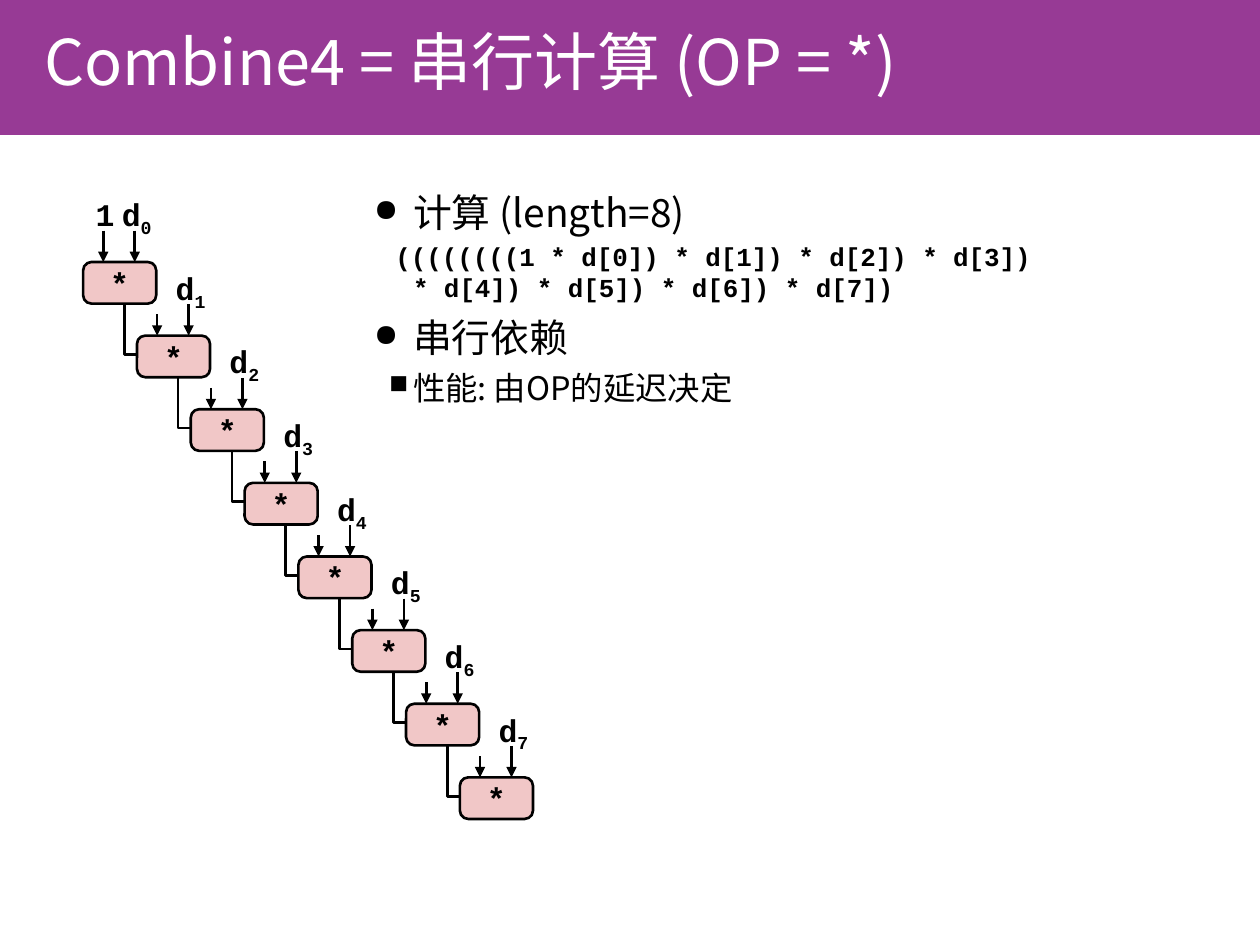
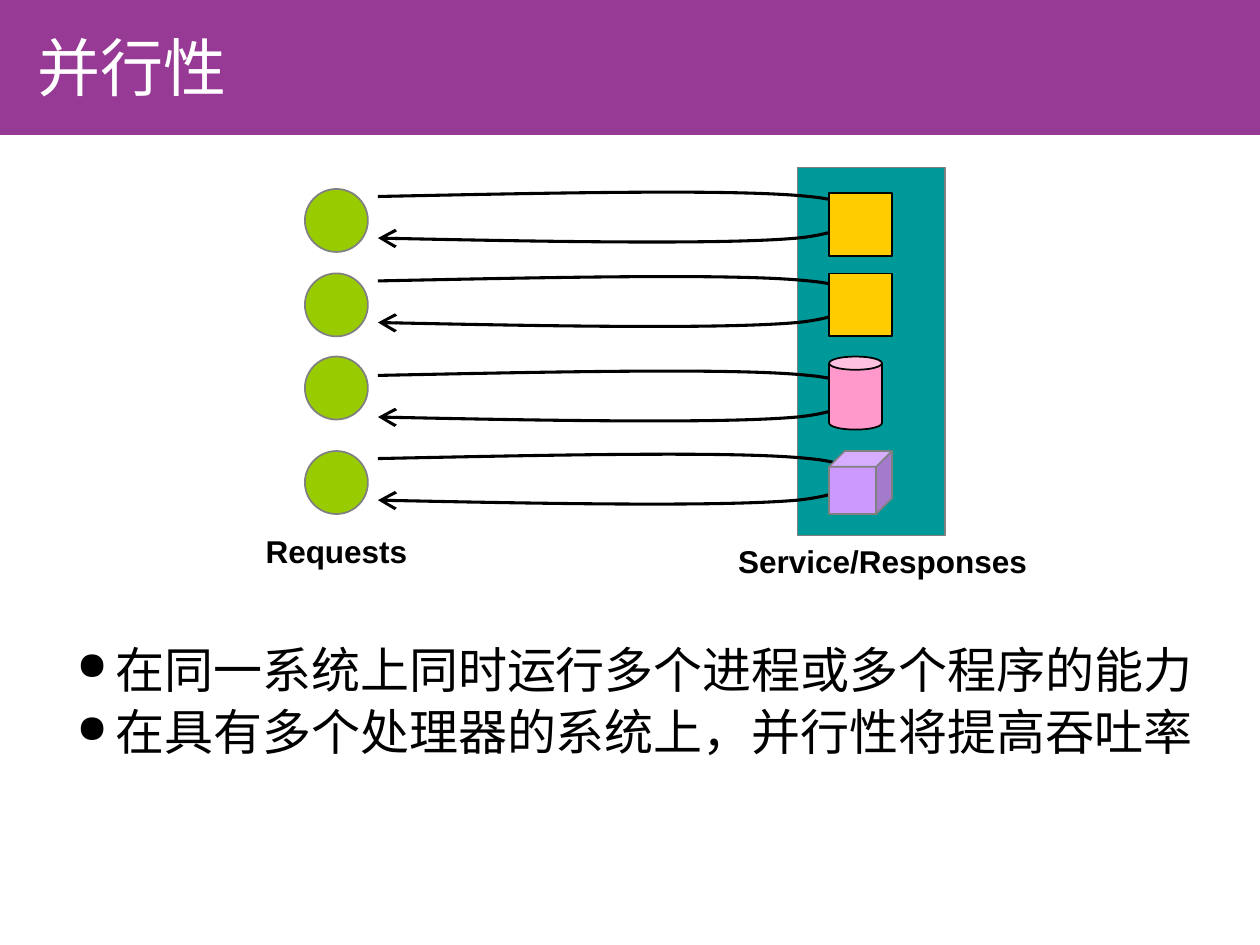
from lxml import etree
from pptx import Presentation
from pptx.dml.color import RGBColor
from pptx.enum.shapes import MSO_CONNECTOR, MSO_SHAPE
from pptx.enum.text import MSO_ANCHOR, PP_ALIGN
from pptx.oxml.ns import qn
from pptx.util import Inches, Pt

PURPLE = RGBColor(0x97, 0x3A, 0x95)
WHITE = RGBColor(0xFF, 0xFF, 0xFF)
BLACK = RGBColor(0, 0, 0)
GRAY = RGBColor(0x80, 0x80, 0x80)
ROSE = RGBColor(0xF1, 0xC7, 0xC7)
GREEN = RGBColor(0x99, 0xCC, 0x00)
TEAL = RGBColor(0x00, 0x99, 0x99)
GOLD = RGBColor(0xFF, 0xCC, 0x00)
PINK = RGBColor(0xFF, 0x99, 0xCC)
VIOLET = RGBColor(0xCC, 0x99, 0xFF)

CJK, CODE, SANS = "Noto Sans CJK SC", "Courier New", "Arial"

RECTANGLE, ROUNDED = MSO_SHAPE.RECTANGLE, MSO_SHAPE.ROUNDED_RECTANGLE
OVAL, CAN, CUBE = MSO_SHAPE.OVAL, MSO_SHAPE.CAN, MSO_SHAPE.CUBE
STRAIGHT = MSO_CONNECTOR.STRAIGHT
TOP, MIDDLE = MSO_ANCHOR.TOP, MSO_ANCHOR.MIDDLE
LEFT, CENTER = PP_ALIGN.LEFT, PP_ALIGN.CENTER


class Deck:
    def __init__(self):
        self.presentation = Presentation()
        self.presentation.slide_width = Inches(10)
        self.presentation.slide_height = Inches(7.5)
        self.slide = None

    def add_slide(self, title, left, top, width, height):
        layout = self.presentation.slide_layouts[5]
        self.slide = self.presentation.slides.add_slide(layout)
        placeholder = self.slide.shapes.title
        placeholder.left, placeholder.top = Inches(left), Inches(top)
        placeholder.width, placeholder.height = Inches(width), Inches(height)
        self.format_frame(placeholder.text_frame, MIDDLE)
        paragraph = placeholder.text_frame.paragraphs[0]
        paragraph.alignment = LEFT
        self.run(paragraph, title, 36, CJK, WHITE)
        band = self.shape(RECTANGLE, 0, -0.01, 10, 1.08, PURPLE)
        placeholder.element.addprevious(band.element)

    def format_frame(self, frame, anchor, side=0.1, wrap=True):
        frame.word_wrap = wrap
        frame.vertical_anchor = anchor
        frame.margin_left = frame.margin_right = Inches(side)
        frame.margin_top = frame.margin_bottom = Inches(0.05)

    def run(self, paragraph, text, size, font, color=BLACK, bold=False, subscript=False):
        run = paragraph.add_run()
        run.text = text
        run.font.size = Pt(size)
        run.font.bold = bold
        run.font.name = font
        run.font.color.rgb = color
        properties = run.font._element
        etree.SubElement(properties, qn("a:ea")).set("typeface", font)
        if subscript:
            properties.set("baseline", "-25000")

    def outline(self, line, color, weight, arrowhead=None, head_size="med"):
        line.color.rgb = color
        line.width = Pt(weight)
        if arrowhead:
            tail = etree.SubElement(line._get_or_add_ln(), qn("a:tailEnd"))
            for name, value in (("type", arrowhead), ("w", head_size), ("len", head_size)):
                tail.set(name, value)

    def shape(self, kind, left, top, width, height, fill, line=None, weight=1):
        shape = self.slide.shapes.add_shape(
            kind, Inches(left), Inches(top), Inches(width), Inches(height))
        shape.shadow.inherit = False
        shape.fill.solid()
        shape.fill.fore_color.rgb = fill
        if line is None:
            shape.line.fill.background()
        else:
            self.outline(shape.line, line, weight)
        return shape

    def text_box(self, left, top, width, height, anchor=TOP, side=0.1):
        box = self.slide.shapes.add_textbox(
            Inches(left), Inches(top), Inches(width), Inches(height))
        self.format_frame(box.text_frame, anchor, side)
        return box.text_frame

    def label(self, left, top, width, height, text, font, subscript="", anchor=TOP):
        frame = self.text_box(left, top, width, height, anchor, 0.05)
        paragraph = frame.paragraphs[0]
        paragraph.alignment = CENTER
        self.run(paragraph, text, 18, font, bold=True)
        if subscript:
            self.run(paragraph, subscript, 18, font, bold=True, subscript=True)

    def body_paragraph(self, frame, lines, size, line_height, before=0,
                       bullet=None, indent=-0.31, font=CJK, bold=False):
        paragraph = frame.paragraphs[0]
        if paragraph.runs:
            paragraph = frame.add_paragraph()
        paragraph.line_spacing = Pt(line_height)
        paragraph.space_before = Pt(before)
        properties = paragraph._p.get_or_add_pPr()
        properties.set("marL", str(Inches(0.31)))
        properties.set("indent", str(Inches(indent)))
        if bullet:
            color = etree.SubElement(properties, qn("a:buClr"))
            etree.SubElement(color, qn("a:srgbClr")).set("val", str(BLACK))
            etree.SubElement(properties, qn("a:buSzPct")).set("val", "80000")
            etree.SubElement(properties, qn("a:buChar")).set("char", bullet)
        for number, line in enumerate(lines):
            if number:
                paragraph.add_line_break()
            self.run(paragraph, line, size, font, bold=bold)

    def down_arrow(self, x, top, bottom):
        connector = self.slide.shapes.add_connector(
            STRAIGHT, Inches(x), Inches(top), Inches(x), Inches(bottom))
        etree.SubElement(connector.element.spPr, qn("a:effectLst"))
        self.outline(connector.line, BLACK, 1.5, "triangle")

    def freeform(self, points, weight, arrowhead=None):
        start, *others = [(Inches(x), Inches(y)) for x, y in points]
        builder = self.slide.shapes.build_freeform(*start)
        builder.add_line_segments(others, close=False)
        shape = builder.convert_to_shape()
        shape.shadow.inherit = False
        shape.fill.background()
        self.outline(shape.line, BLACK, weight, arrowhead, "lg")
        return shape

    def curve(self, points, weight, arrowhead):
        shape = self.freeform(points, weight, arrowhead)
        segments = list(shape.element.iter(qn("a:lnTo")))
        for first in range(0, len(segments), 3):
            bezier = etree.Element(qn("a:cubicBezTo"))
            segments[first].addprevious(bezier)
            for segment in segments[first:first + 3]:
                bezier.append(segment[0])
                segment.getparent().remove(segment)


def build_serial_slide(deck):
    deck.add_slide("Combine4 = 串行计算 (OP = *)", 0.25, 0.05, 9.48, 0.85)
    body = deck.text_box(2.87, 1.4, 6.96, 1.83)
    deck.body_paragraph(body, ["计算 (length=8)"], 22.2, 30, bullet="●")
    code = ["((((((((1 * d[0]) * d[1]) * d[2]) * d[3])", "* d[4]) * d[5]) * d[6]) * d[7])"]
    deck.body_paragraph(body, code, 14.8, 17.7, 3, indent=-0.14, font=CODE, bold=True)
    deck.body_paragraph(body, ["串行依赖"], 22.2, 30, 3, "●")
    deck.body_paragraph(body, ["性能: 由OP的延迟决定"], 18.5, 24, 3, "■", -0.19)

    count = 8
    step_x, step_y = (3.65 - 0.66) / (count - 1), (6.17 - 2.08) / (count - 1)
    deck.label(0.71, 1.5, 0.25, 0.4, "1", CODE)
    for index in range(count):
        left, top = 0.66 + index * step_x, 2.08 + index * step_y
        node = deck.shape(ROUNDED, left, top, 0.58, 0.33, ROSE, BLACK, 1.5)
        node.adjustments[0] = 0.2
        deck.format_frame(node.text_frame, MIDDLE, wrap=False)
        paragraph = node.text_frame.paragraphs[0]
        paragraph.alignment = CENTER
        deck.run(paragraph, "*", 18, CODE, bold=True)
        deck.down_arrow(left + 0.16, top - (0.17 if index else 0.25), top)
        deck.down_arrow(left + 0.41, top - 0.25, top)
        deck.label(left + 0.25, top - 0.58, 0.35, 0.44, "d", CODE, str(index))
        if index:
            hook_x, hook_y = left - 0.1, top + 0.15
            deck.freeform([(hook_x, top - 0.25), (hook_x, hook_y), (left, hook_y)], 1.5)


def build_parallel_slide(deck):
    deck.add_slide("并行性", 0.2, 0.13, 8.65, 0.79)
    body = deck.text_box(0.51, 5.06, 9.37, 1.5)
    deck.body_paragraph(body, ["在同一系统上同时运行多个进程或多个程序的能力"], 28, 31, bullet="●")
    deck.body_paragraph(body, ["在具有多个处理器的系统上，并行性将提高吞吐率"], 28, 31, 4.5, "●")

    for top in (1.5, 2.17, 2.83, 3.58):
        deck.shape(OVAL, 2.42, top, 0.5, 0.5, GREEN, GRAY)
    deck.shape(RECTANGLE, 6.33, 1.33, 1.17, 2.92, TEAL, GRAY)
    round_trip = [(3, 0.06), (4.43, 0.03), (5.86, 0), (6.42, 0.06), (6.97, 0.11),
                  (6.9, 0.33), (6.33, 0.39), (5.76, 0.44), (4.38, 0.42), (3, 0.39)]
    for top in (1.5, 2.17, 2.92, 3.58):
        deck.curve([(x, top + y) for x, y in round_trip], 1.75, "arrow")
    servers = [
        (RECTANGLE, 1.53, 0.5, 0.5, GOLD, BLACK),
        (RECTANGLE, 2.17, 0.5, 0.5, GOLD, BLACK),
        (CAN, 2.83, 0.42, 0.58, PINK, BLACK),
        (CUBE, 3.58, 0.5, 0.5, VIOLET, GRAY),
    ]
    for kind, top, width, height, fill, line in servers:
        deck.shape(kind, 6.58, top, width, height, fill, line)
    for left, top, width, text in ((2.01, 4.17, 1.32, "Requests"),
                                   (5.76, 4.25, 2.49, "Service/Responses")):
        deck.label(left, top, width, 0.4, text, SANS, anchor=MIDDLE)


def main():
    deck = Deck()
    build_serial_slide(deck)
    build_parallel_slide(deck)
    deck.presentation.save("out.pptx")


if __name__ == "__main__":
    main()
